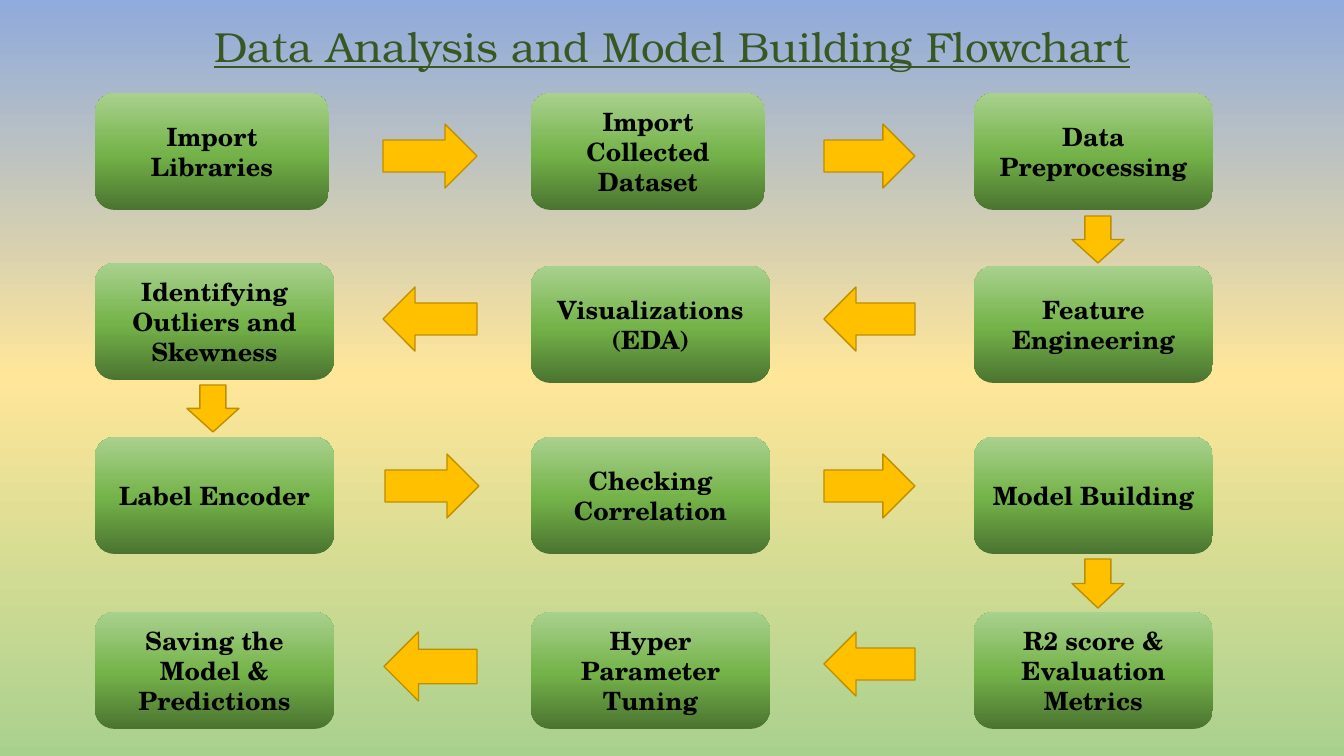
from lxml.etree import SubElement
from pptx import Presentation
from pptx.dml.color import RGBColor
from pptx.enum.shapes import MSO_SHAPE as Preset
from pptx.enum.text import MSO_ANCHOR as Anchor, PP_ALIGN as Align
from pptx.oxml.ns import qn
from pptx.util import Emu, Pt

WIDTH, HEIGHT = 1344, 756
COLUMNS = (95, 531, 974)
ROWS = (93, 266, 437, 612)
STEP_WIDTH, STEP_HEIGHT = 239, 117
SKY = ((0, "8FAADC"), (50, "FFE699"), (100, "A9D18E"))
LEAF = ((0, "4B7430"), (48, "74B349"), (100, "A9D18E"))
STEPS = (
    ("Import Libraries", "Import Collected Dataset", "Data Preprocessing"),
    ("Identifying Outliers and Skewness", "Visualizations\n(EDA)", "Feature Engineering"),
    ("Label Encoder", "Checking Correlation", "Model Building"),
    ("Saving the Model & Predictions", "Hyper Parameter Tuning", "R2 score & Evaluation Metrics"),
)
NARROW_STEPS = {"Import Libraries": 234, "Import Collected Dataset": 234}
RAISED_STEPS = {"Identifying Outliers and Skewness": 3}
ARROWS = (
    (Preset.RIGHT_ARROW, (383, 124, 94, 64)),
    (Preset.RIGHT_ARROW, (824, 124, 91, 64)),
    (Preset.DOWN_ARROW, (1072, 216, 52, 47)),
    (Preset.LEFT_ARROW, (824, 287, 91, 64)),
    (Preset.LEFT_ARROW, (383, 287, 94, 64)),
    (Preset.DOWN_ARROW, (187, 385, 52, 47)),
    (Preset.RIGHT_ARROW, (385, 454, 94, 64)),
    (Preset.RIGHT_ARROW, (824, 454, 91, 64)),
    (Preset.DOWN_ARROW, (1072, 559, 52, 49)),
    (Preset.LEFT_ARROW, (824, 632, 91, 64)),
    (Preset.LEFT_ARROW, (384, 632, 93, 69)),
)


def px(length):
    """Turn pixels into EMU."""
    return Emu(round(length * 914400 / 100.8))


def color(value):
    """Turn a hex string into a colour."""
    return RGBColor.from_string(value)


def set_gradient(owner, fill, stops, angle):
    """Give the fill of an owner a linear gradient, angle counter-clockwise."""
    fill.gradient()
    fill.gradient_angle = angle
    stop_list = owner.element.xpath(".//a:gsLst")[0]
    stop_list.clear()
    for position, value in stops:
        stop = SubElement(stop_list, qn("a:gs"), pos=str(position * 1000))
        SubElement(stop, qn("a:srgbClr"), val=value)


def write(frame, text, font_name, size, value, bold=False, underline=False):
    """Write centred text, one paragraph a line."""
    frame.word_wrap = True
    frame.text = text
    for para in frame.paragraphs:
        para.alignment = Align.CENTER
        font = para.font
        font.name, font.size = font_name, Pt(size)
        font.bold, font.underline = bold, underline
        font.color.rgb = color(value)


def add_preset(page, preset, bounds):
    """Add a preset shape without a shadow."""
    shape = page.shapes.add_shape(preset, *map(px, bounds))
    shape.shadow.inherit = False
    return shape


def add_title(page, text):
    """Add the underlined heading across the page."""
    box = page.shapes.add_textbox(*map(px, (0, 16, WIDTH, 61)))
    write(box.text_frame, text, "TeX Gyre Bonum", 30, "385723", underline=True)


def add_arrow(page, preset, bounds):
    """Add a yellow block arrow."""
    arrow = add_preset(page, preset, bounds)
    arrow.fill.solid()
    arrow.fill.fore_color.rgb = color("FFC000")
    arrow.line.color.rgb = color("BD8E00")
    arrow.line.width = Pt(1)


def add_step(page, text, left, top):
    """Add a green step of the flowchart."""
    bounds = (left, top - RAISED_STEPS.get(text, 0), NARROW_STEPS.get(text, STEP_WIDTH), STEP_HEIGHT)
    step = add_preset(page, Preset.FLOWCHART_ALTERNATE_PROCESS, bounds)
    set_gradient(step, step.fill, LEAF, 90)
    step.line.fill.background()
    step.text_frame.vertical_anchor = Anchor.MIDDLE
    write(step.text_frame, text, "TeX Gyre Schola", 18, "000000", bold=True)


def main():
    """Build the flowchart and save it."""
    deck = Presentation()
    deck.slide_width, deck.slide_height = px(WIDTH), px(HEIGHT)
    page = deck.slides.add_slide(deck.slide_layouts[6])
    set_gradient(page, page.background.fill, SKY, 270)
    add_title(page, "Data Analysis and Model Building Flowchart")
    for preset, bounds in ARROWS:
        add_arrow(page, preset, bounds)
    for top, texts in zip(ROWS, STEPS):
        for left, text in zip(COLUMNS, texts):
            add_step(page, text, left, top)
    deck.save("out.pptx")


main()
